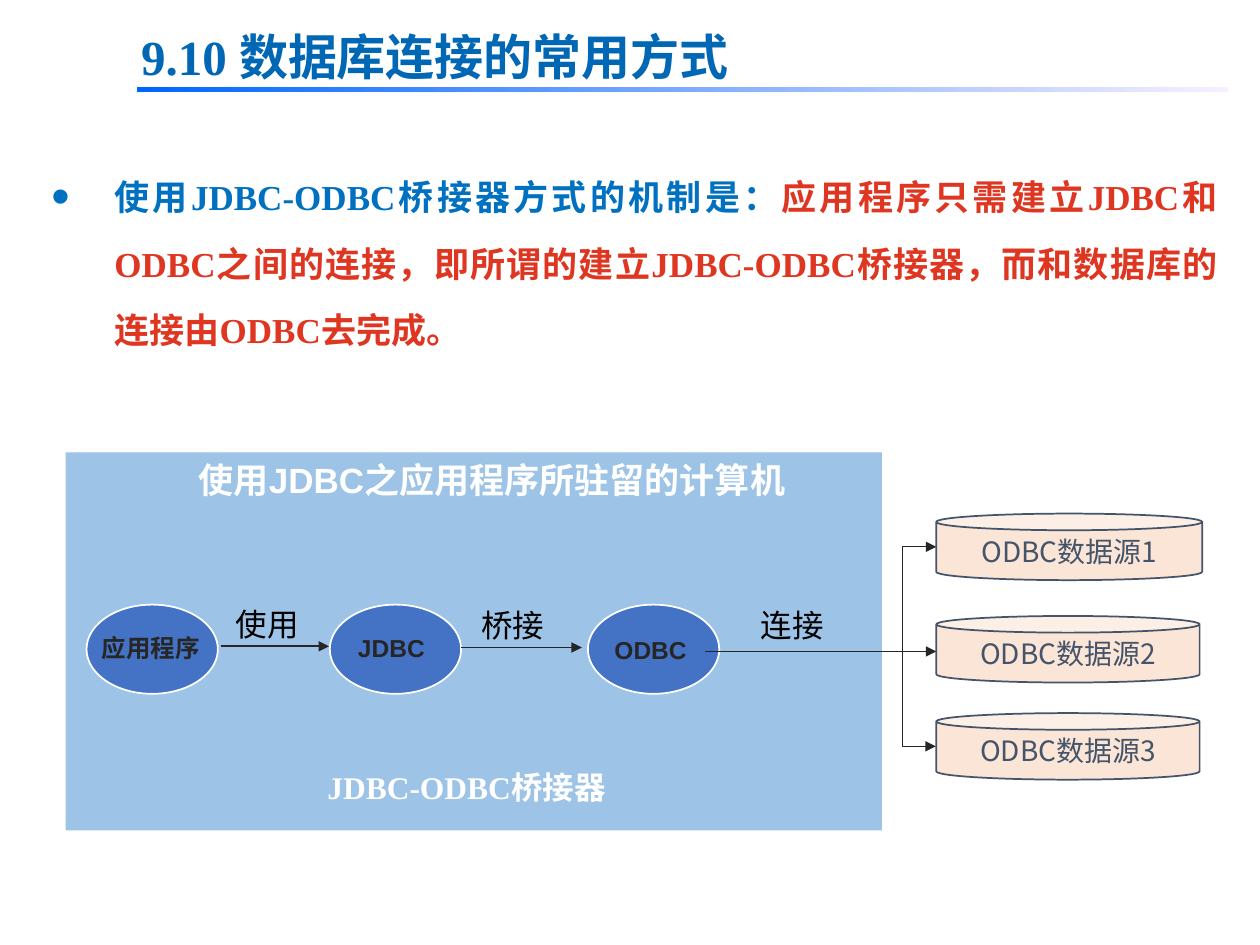
from typing import NamedTuple

from lxml import etree
from pptx import Presentation
from pptx.dml.color import RGBColor
from pptx.enum.shapes import MSO_CONNECTOR, MSO_SHAPE
from pptx.enum.text import MSO_ANCHOR, MSO_AUTO_SIZE, PP_ALIGN
from pptx.oxml.ns import qn
from pptx.util import Pt

RECT, CAN, OVAL = MSO_SHAPE.RECTANGLE, MSO_SHAPE.CAN, MSO_SHAPE.OVAL
STRAIGHT, ELBOW = MSO_CONNECTOR.STRAIGHT, MSO_CONNECTOR.ELBOW
TOP, MIDDLE = MSO_ANCHOR.TOP, MSO_ANCHOR.MIDDLE
LEFT, CENTER, JUSTIFY = PP_ALIGN.LEFT, PP_ALIGN.CENTER, PP_ALIGN.JUSTIFY
GROW = MSO_AUTO_SIZE.SHAPE_TO_FIT_TEXT

SERIF, SANS, CJK = "Times New Roman", "Arial", "Noto Sans CJK SC"

BAR_START = RGBColor(0x00, 0x66, 0xFF)
BAR_END = RGBColor(0xF7, 0xEF, 0xFF)
TITLE_BLUE = RGBColor(0x00, 0x67, 0xB4)
TEXT_BLUE = RGBColor(0x00, 0x70, 0xC0)
RED = RGBColor(0xDF, 0x36, 0x21)
PANEL = RGBColor(0x9D, 0xC3, 0xE6)
NODE = RGBColor(0x44, 0x72, 0xC4)
PEACH = RGBColor(0xFB, 0xE5, 0xD6)
SLATE = RGBColor(0x44, 0x54, 0x6A)
DARK = RGBColor(0x26, 0x26, 0x26)
WHITE = RGBColor(0xFF, 0xFF, 0xFF)
BLACK = RGBColor(0x00, 0x00, 0x00)


class Box(NamedTuple):
    left: float
    top: float
    width: float
    height: float


class Style(NamedTuple):
    size: float
    color: RGBColor
    font: str = SANS
    bold: bool = True


class Label(NamedTuple):
    text: str
    box: Box
    style: Style


class Arrow(NamedTuple):
    x1: float
    y1: float
    x2: float
    y2: float
    width: float = 1


NODE_TEXT = Style(14, DARK)
LINK_TEXT = Style(18, BLACK, bold=False)
SOURCE_TEXT = Style(16, SLATE, CJK, False)

LABELS = [
    Label("使用JDBC之应用程序所驻留的计算机", Box(106.5, 258.5, 361, 31.5), Style(20, WHITE)),
    Label("应用程序", Box(51, 358, 73, 24.5), NODE_TEXT),
    Label("JDBC", Box(197.5, 358, 69, 24.5), NODE_TEXT),
    Label("ODBC", Box(344, 359.5, 59, 24.5), NODE_TEXT),
    Label("使用", Box(127.5, 342, 51, 29), LINK_TEXT),
    Label("桥接", Box(268, 342.5, 52.5, 29), LINK_TEXT),
    Label("连接", Box(427.5, 343, 67.5, 29), LINK_TEXT),
    Label("JDBC-ODBC桥接器", Box(180, 435.5, 183, 29), Style(18, WHITE, SERIF)),
]
SOURCES = [
    Label("ODBC数据源1", Box(535, 293.5, 152, 38), SOURCE_TEXT),
    Label("ODBC数据源2", Box(535, 352, 150.5, 38), SOURCE_TEXT),
    Label("ODBC数据源3", Box(535, 407.5, 150.5, 38), SOURCE_TEXT),
]
NODE_LEFTS = [49.5, 188.5, 336]
ARROWS = [
    Arrow(126, 369.3, 188, 369.3),
    Arrow(263.5, 370, 332.5, 370, 0.5),
    Arrow(403, 372.3, 535, 372.3),
]
FORK = Arrow(535, 312.5, 534.75, 426.5, 0.5)
FORK_REACH = 18.75


def format_run(r, style: Style) -> None:
    r.font.size = Pt(style.size)
    r.font.name = style.font
    r.font.bold = style.bold
    r.font.color.rgb = style.color
    ea = etree.SubElement(r.font._element, qn("a:ea"))
    ea.set("typeface", CJK)


def write(shape, text: str, style: Style, align=LEFT, anchor=TOP, auto_size=GROW):
    tf = shape.text_frame
    tf.text = text
    tf.word_wrap = True
    tf.auto_size = auto_size
    tf.vertical_anchor = anchor
    p = tf.paragraphs[0]
    p.alignment = align
    format_run(p.runs[0], style)
    return p


def add_block(s, kind, box: Box, fill=None, line=None):
    sp = s.shapes.add_shape(kind, *map(Pt, box))
    sp.shadow.inherit = False
    if fill is not None:
        sp.fill.solid()
        sp.fill.fore_color.rgb = fill
    if line is None:
        sp.line.fill.background()
    else:
        sp.line.color.rgb = line
        sp.line.width = Pt(1)
    return sp


def add_text(s, label: Label, align=LEFT):
    return write(s.shapes.add_textbox(*map(Pt, label.box)), label.text, label.style, align)


def add_arrow(s, arrow: Arrow, kind=STRAIGHT, ends=("tailEnd",)):
    c = s.shapes.add_connector(kind, *map(Pt, arrow[:4]))
    c.line.color.rgb = DARK
    c.line.width = Pt(arrow.width)
    ln = c.line._get_or_add_ln()
    for end in ends:
        etree.SubElement(ln, qn(f"a:{end}")).set("type", "triangle")
    etree.SubElement(c._element.spPr, qn("a:effectLst"))
    return c


def add_fork(s) -> None:
    """Draw the two-headed elbow that reaches left of both its ends."""
    c = add_arrow(s, FORK, ELBOW, ("headEnd", "tailEnd"))
    geom = c._element.spPr.find(qn("a:prstGeom"))
    guides = geom.find(qn("a:avLst"))
    if guides is None:
        guides = etree.SubElement(geom, qn("a:avLst"))
    gd = etree.SubElement(guides, qn("a:gd"))
    gd.set("name", "adj1")
    gd.set("fmla", f"val {round(FORK_REACH / (FORK.x1 - FORK.x2) * 100000)}")


def add_heading(s) -> None:
    bar = add_block(s, RECT, Box(78, 49.7, 624, 2.9))
    bar.fill.gradient()
    bar.fill.gradient_angle = 0
    for stop, color in zip(bar.fill.gradient_stops, (BAR_START, BAR_END)):
        stop.color.rgb = color

    title = s.shapes.title
    title.left, title.top, title.width, title.height = map(Pt, (73.5, 11.5, 628.5, 41))
    write(title, "9.10 数据库连接的常用方式", Style(28, TITLE_BLUE, SERIF), JUSTIFY)


def add_explanation(s) -> None:
    style = Style(20, TEXT_BLUE, SERIF)
    p = add_text(s, Label("使用JDBC-ODBC桥接器方式的机制是：", Box(22.3, 82.8, 680.5, 122.4), style), JUSTIFY)
    p.line_spacing = Pt(38)
    pPr = p._p.get_or_add_pPr()
    pPr.set("marL", str(Pt(36)))
    pPr.set("indent", str(-Pt(36)))
    etree.SubElement(pPr, qn("a:buSzPct")).set("val", "150000")
    etree.SubElement(pPr, qn("a:buFont")).set("typeface", SANS)
    etree.SubElement(pPr, qn("a:buChar")).set("char", "•")
    r = p.add_run()
    r.text = "应用程序只需建立JDBC和ODBC之间的连接，即所谓的建立JDBC-ODBC桥接器，而和数据库的连接由ODBC去完成。"
    format_run(r, style._replace(color=RED))


def add_diagram(s) -> None:
    add_block(s, RECT, Box(37.5, 258.5, 466.5, 216), PANEL)
    for source in SOURCES:
        can = add_block(s, CAN, source.box, PEACH, SLATE)
        write(can, source.text, source.style, CENTER, MIDDLE, MSO_AUTO_SIZE.NONE)
    for left in NODE_LEFTS:
        add_block(s, OVAL, Box(left, 345.5, 75, 51), NODE, WHITE)
    for arrow in ARROWS:
        add_arrow(s, arrow)
    add_fork(s)
    for label in LABELS:
        add_text(s, label)


def main() -> None:
    prs = Presentation()
    prs.slide_width, prs.slide_height = Pt(720), Pt(540)
    s = prs.slides.add_slide(prs.slide_layouts[5])
    add_heading(s)
    add_explanation(s)
    add_diagram(s)
    prs.save("out.pptx")


if __name__ == "__main__":
    main()
